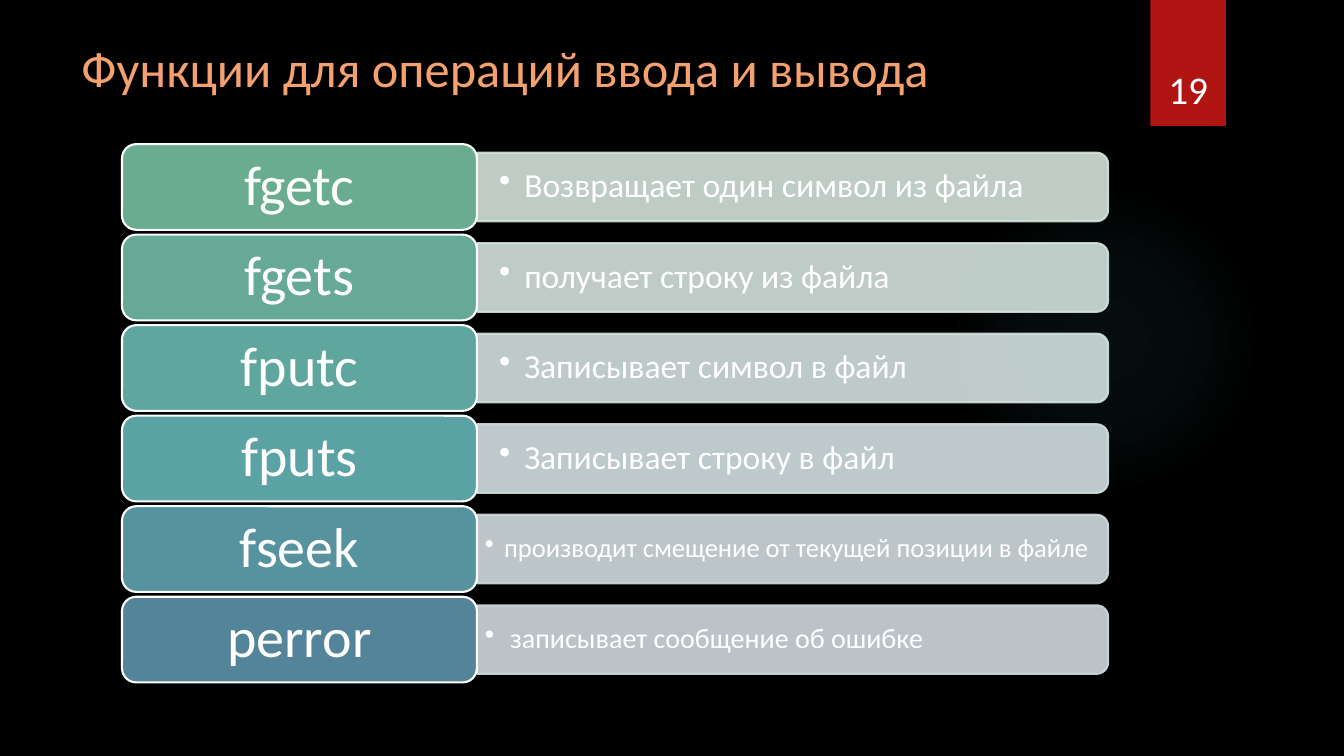
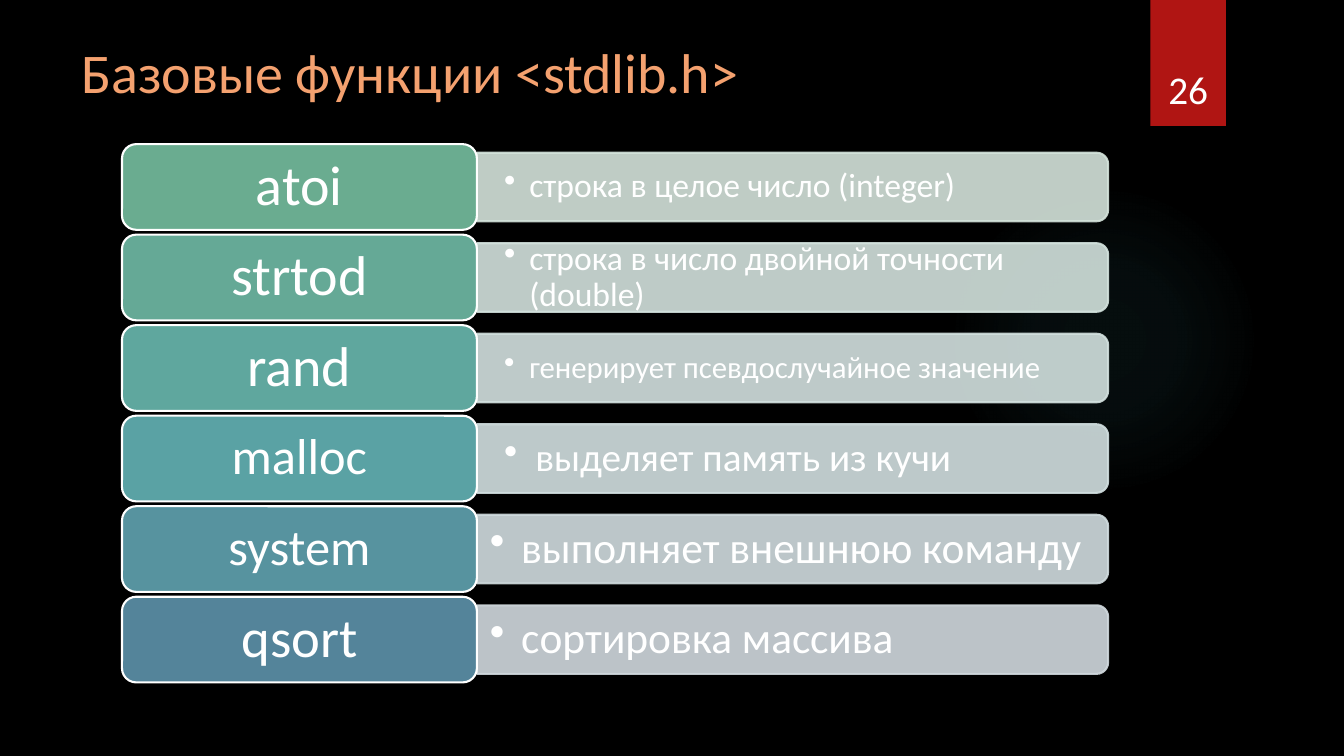
from dataclasses import dataclass

from lxml.etree import SubElement
from pptx import Presentation
from pptx.dml.color import RGBColor
from pptx.enum.shapes import MSO_SHAPE
from pptx.enum.text import MSO_ANCHOR, PP_ALIGN
from pptx.oxml import parse_xml
from pptx.oxml.ns import nsdecls, qn
from pptx.util import Inches, Pt


@dataclass(frozen=True)
class Theme:
    """Colours, font and type sizes shared by the slides."""
    font: str = "Calibri"
    background: str = "000000"
    title: str = "F4A16F"
    text: str = "FFFFFF"
    band: str = "B01513"
    glow: str = "50B9C1"
    keys: tuple = ("6AAC90", "65A996", "5FA79E", "5AA2A4", "57939F", "54849A")
    bars: tuple = ("D4E3DB", "D3E2DD", "D3E1DF", "D2DFE0", "D1DCDF", "D1D9DE")
    number_size: int = 28
    line_width: float = 1.5


THEME = Theme()
GLOW_STOPS = ((0, 7), (36, 6), (69, 0), (100, 0))


@dataclass(frozen=True)
class Row:
    """One function with its explanation."""
    name: str
    detail: str
    size: int = 24
    inset: float = 0.22
    indent: float = 0.25
    name_size: int = 40


def write(sp, text, size, color=THEME.text, align=PP_ALIGN.LEFT, anchor=MSO_ANCHOR.TOP,
          inset=(0.1, 0.05), spacing=None, indent=None):
    """Put one formatted paragraph into a shape."""
    tf = sp.text_frame
    tf.word_wrap = True
    tf.vertical_anchor = anchor
    tf.margin_left = tf.margin_right = Inches(inset[0])
    tf.margin_top = tf.margin_bottom = Inches(inset[1])
    p = tf.paragraphs[0]
    p.alignment = align
    p.line_spacing = spacing
    if indent:
        pPr = p._p.get_or_add_pPr()
        pPr.set("marL", str(Inches(indent)))
        pPr.set("indent", str(-Inches(indent)))
        SubElement(pPr, qn("a:buChar"), char="•")
    r = p.add_run()
    r.text = text
    r.font.name = THEME.font
    r.font.size = Pt(size)
    r.font.color.rgb = RGBColor.from_string(color)


def add_box(s, kind, box, fill=None, line=None, alpha=None):
    """Add a flat preset shape, optionally translucent."""
    sp = s.shapes.add_shape(kind, *map(Inches, box))
    sp.shadow.inherit = False
    sp.fill.background()
    sp.line.fill.background()
    if fill:
        sp.fill.solid()
        sp.fill.fore_color.rgb = RGBColor.from_string(fill)
    if line:
        sp.line.color.rgb = RGBColor.from_string(line)
        sp.line.width = Pt(THEME.line_width)
    if alpha:
        for clr in sp._element.spPr.iter(qn("a:srgbClr")):
            SubElement(clr, qn("a:alpha"), val=str(alpha * 1000))
    return sp


def add_text(s, box, text, size, **fmt):
    """Add a text box."""
    write(s.shapes.add_textbox(*map(Inches, box)), text, size, **fmt)


def add_glow(s, box):
    """Add the soft round light."""
    spPr = add_box(s, MSO_SHAPE.OVAL, box)._element.spPr
    stops = "".join(
        f'<a:gs pos="{pos * 1000}"><a:srgbClr val="{THEME.glow}">'
        f'<a:alpha val="{alpha * 1000}"/></a:srgbClr></a:gs>' for pos, alpha in GLOW_STOPS)
    grad = parse_xml(
        f'<a:gradFill {nsdecls("a")}><a:gsLst>{stops}</a:gsLst><a:path path="circle">'
        '<a:fillToRect l="50000" t="50000" r="50000" b="50000"/></a:path></a:gradFill>')
    spPr.replace(spPr.find(qn("a:noFill")), grad)


def add_band(s, box, number):
    """Add the red band with the slide number."""
    sp = add_box(s, MSO_SHAPE.RECTANGLE, box, fill=THEME.band)
    write(sp, number, THEME.number_size, align=PP_ALIGN.CENTER,
          anchor=MSO_ANCHOR.BOTTOM, inset=(0, 0.14))


def add_row(s, box, row, key_color, bar_color):
    """Add a function name and its bar of explanation."""
    left, top, width, height = box
    key_w, bar_h = 3.52, 0.68
    bar_x, bar_w = left + key_w, width - key_w
    mid = top + height / 2
    bar = add_box(s, MSO_SHAPE.ROUND_2_SAME_RECTANGLE,
                  (bar_x + (bar_w - bar_h) / 2, mid - bar_w / 2, bar_h, bar_w),
                  fill=bar_color, line=bar_color, alpha=90)
    bar.rotation = 90
    add_text(s, (bar_x, mid - 0.31, bar_w - 0.03, 0.62), row.detail, row.size,
             anchor=MSO_ANCHOR.MIDDLE, inset=(row.inset, row.inset / 2),
             spacing=0.9, indent=row.indent)
    key = add_box(s, MSO_SHAPE.ROUNDED_RECTANGLE, (left, top, key_w, height),
                  fill=key_color, line=THEME.text)
    write(key, row.name, row.name_size, align=PP_ALIGN.CENTER,
          anchor=MSO_ANCHOR.MIDDLE, spacing=0.9)


def add_list(s, box, rows):
    """Spread the rows evenly over the box."""
    left, top, width, height = box
    row_h = 0.85
    step = (height - row_h) / (len(rows) - 1)
    for i, (row, key, bar) in enumerate(zip(rows, THEME.keys, THEME.bars)):
        add_row(s, (left, top + i * step, width, row_h), row, key, bar)


def add_slide(prs, title, title_size, number, rows):
    """Add a slide that lists functions."""
    s = prs.slides.add_slide(prs.slide_layouts[6])
    s.background.fill.solid()
    s.background.fill.fore_color.rgb = RGBColor.from_string(THEME.background)
    add_glow(s, (9.41, 1.83, 3.08, 3.08))
    add_band(s, (11.41, 0, 0.75, 1.25), number)
    add_text(s, (0.71, 0.32, 10.29, 0.84), title, title_size, color=THEME.title)
    add_list(s, (1.21, 1.43, 9.78, 5.34), rows)


FILE_ROWS = (
    Row("fgetc", "Возвращает один символ из файла"),
    Row("fgets", "получает строку из файла"),
    Row("fputc", "Записывает символ в файл"),
    Row("fputs", "Записывает строку в файл"),
    Row("fseek", "производит смещение от текущей позиции в файле", 19, 0.08, 0.19),
    Row("perror", "записывает сообщение об ошибке", 20, 0.08),
)
STDLIB_ROWS = (
    Row("atoi", "строка в целое число (integer)", inset=0.27),
    Row("strtod", "строка в число двойной точности (double)", inset=0.27),
    Row("rand", "генерирует псевдослучайное значение", 22, 0.27),
    Row("malloc", "выделяет память из кучи", 28, 0.27, 0.31, 36),
    Row("system", "выполняет внешнюю команду", 31, 0.13, 0.31, 36),
    Row("qsort", "сортировка массива", 31, 0.13, 0.31, 39),
)


def main():
    """Build and save the presentation."""
    prs = Presentation()
    prs.slide_width, prs.slide_height = Inches(13.33), Inches(7.5)
    add_slide(prs, "Функции для операций ввода и вывода", 36, "19", FILE_ROWS)
    add_slide(prs, "Базовые функции <stdlib.h>", 40, "26", STDLIB_ROWS)
    prs.save("out.pptx")


if __name__ == "__main__":
    main()
